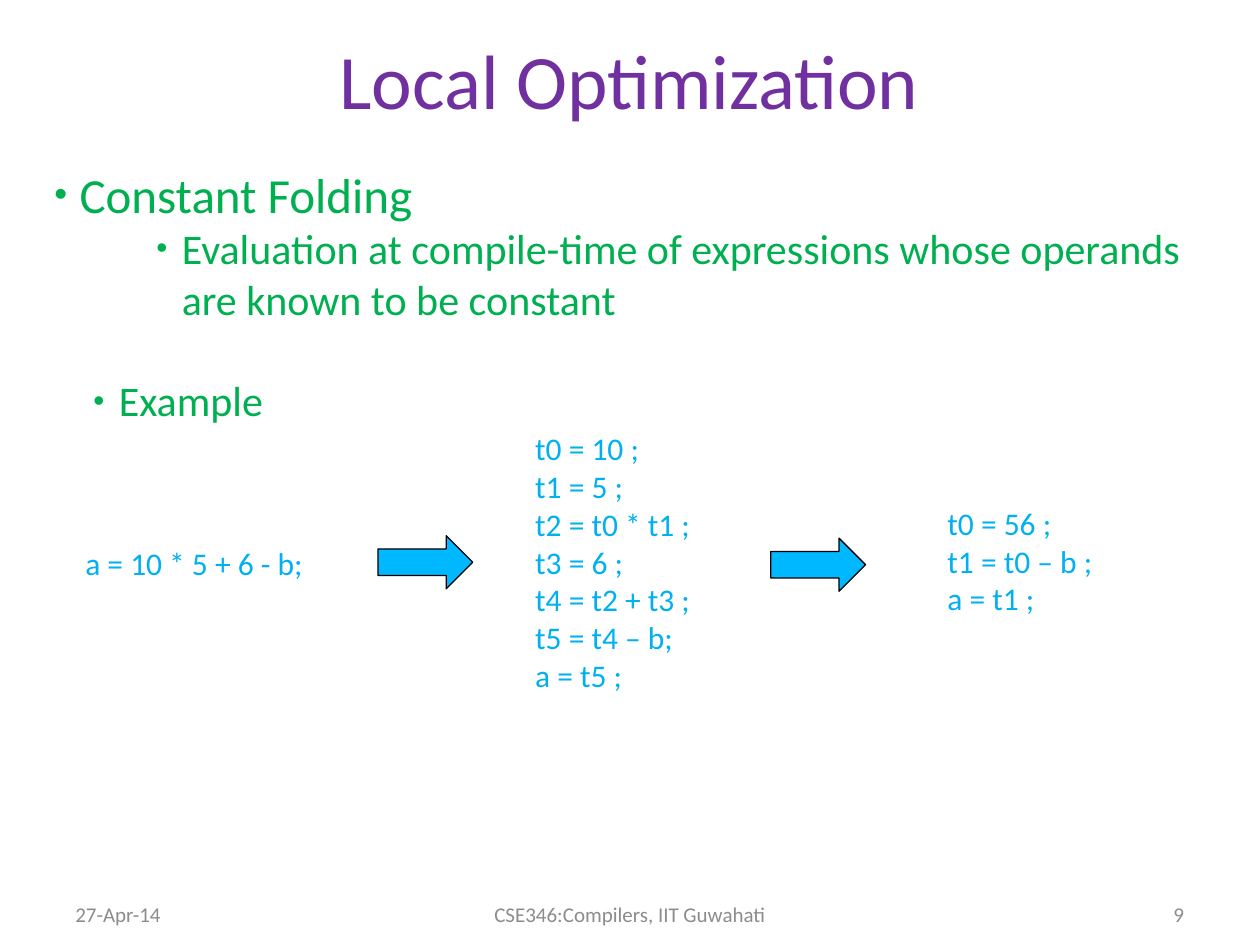
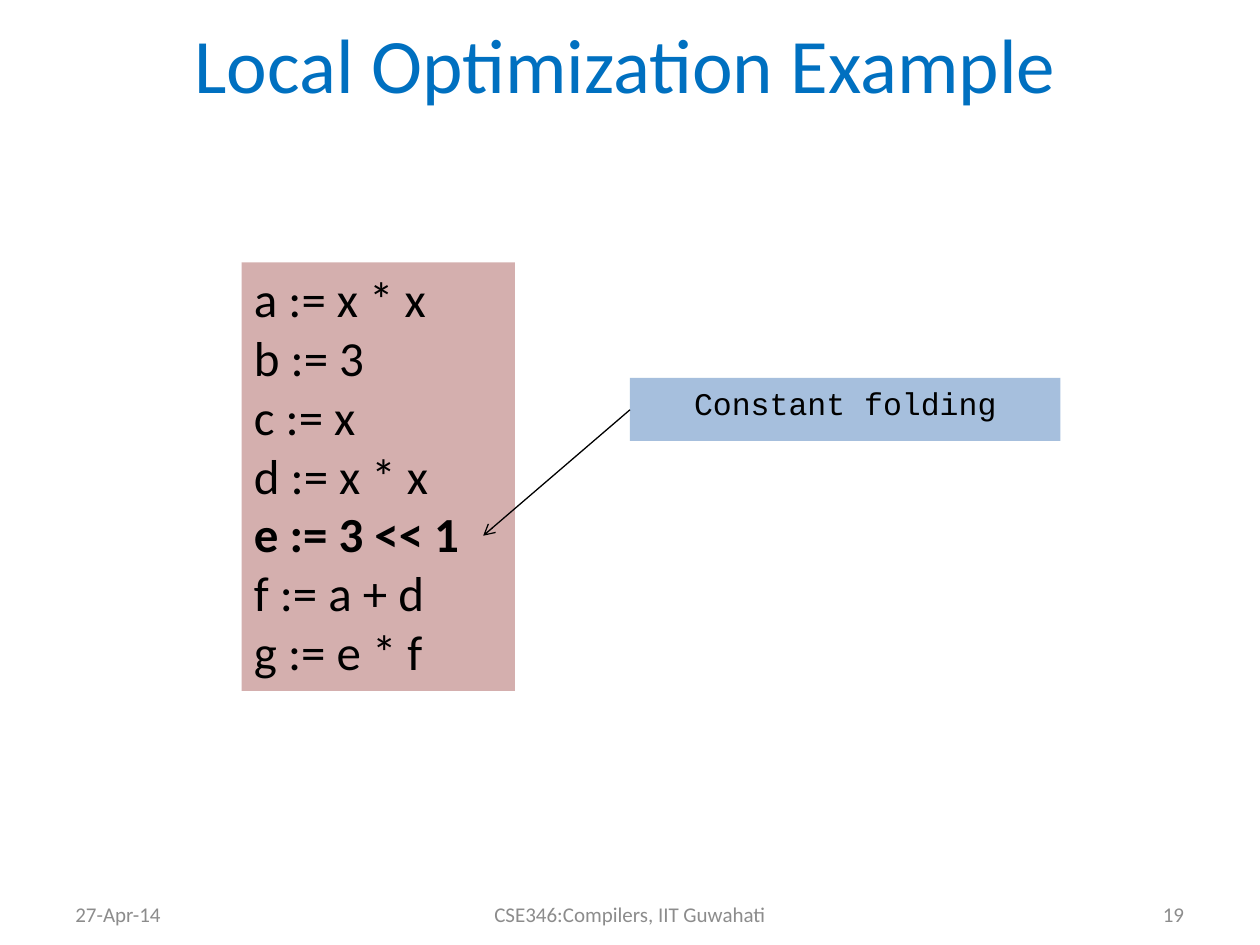
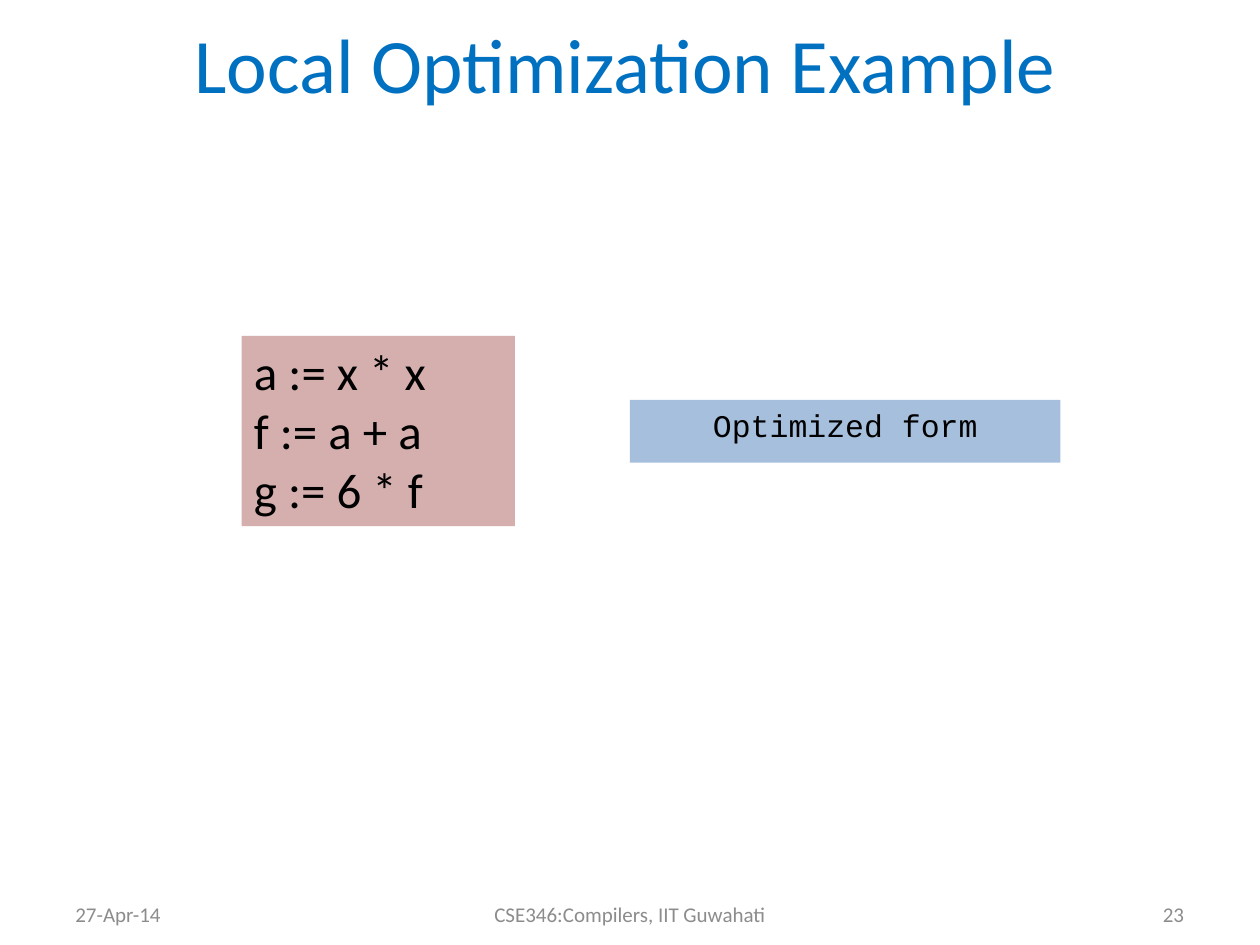
from lxml.etree import SubElement
from pptx import Presentation
from pptx.dml.color import RGBColor
from pptx.enum.shapes import MSO_CONNECTOR, MSO_SHAPE
from pptx.enum.text import MSO_ANCHOR, MSO_AUTO_SIZE, PP_ALIGN
from pptx.oxml.ns import qn
from pptx.util import Cm, Pt

BLACK = RGBColor(0x00, 0x00, 0x00)
GREY = RGBColor(0x8C, 0x8C, 0x8C)
PURPLE = RGBColor(0x70, 0x30, 0xA0)
BLUE = RGBColor(0x00, 0x70, 0xC0)
GREEN = RGBColor(0x00, 0xB0, 0x50)
CYAN = RGBColor(0x00, 0xB0, 0xF0)
ARROW_FILL = RGBColor(0x00, 0xB8, 0xFF)
CODE_FILL = RGBColor(0x95, 0x37, 0x35)
LABEL_FILL = RGBColor(0x4F, 0x81, 0xBD)

SANS = "Calibri"
MONO = "Courier New"
TITLE_ONLY, TITLE_AND_BODY = 5, 1
DATE = "27-Apr-14"
COURSE = "CSE346:Compilers, IIT Guwahati"


class Deck:
    def __init__(self):
        self.prs = Presentation()
        self.prs.slide_width = Cm(25.4)
        self.prs.slide_height = Cm(19.05)
        self.s = None

    def new_slide(self, layout, number):
        self.s = self.prs.slides.add_slide(self.prs.slide_layouts[layout])
        self.footer(DATE, 1.27, 5.9, PP_ALIGN.LEFT)
        self.footer(COURSE, 8.68, 8.04, PP_ALIGN.CENTER)
        self.footer(number, 18.22, 5.9, PP_ALIGN.RIGHT)

    def place(self, sp, left, top, width, height):
        sp.left, sp.top, sp.width, sp.height = Cm(left), Cm(top), Cm(width), Cm(height)

    def style_runs(self, p, size, color, font=SANS, bold=False, align=PP_ALIGN.LEFT):
        p.alignment = align
        for r in p.runs:
            r.font.size = Pt(size)
            r.font.name = font
            r.font.bold = bold
            r.font.color.rgb = color

    def set_text(self, sp, text, size, color, font=SANS, align=PP_ALIGN.LEFT,
                 anchor=MSO_ANCHOR.TOP):
        tf = sp.text_frame
        tf.word_wrap = True
        tf.auto_size = MSO_AUTO_SIZE.NONE
        tf.vertical_anchor = anchor
        tf.text = text
        for p in tf.paragraphs:
            self.style_runs(p, size, color, font, align=align)

    def title(self, text, color, left, width, height):
        sp = self.s.shapes.title
        self.place(sp, left, 0, width, height)
        self.set_text(sp, text, 44, color, align=PP_ALIGN.CENTER, anchor=MSO_ANCHOR.MIDDLE)

    def bullets(self, items, left, top, width, height):
        sp = self.s.placeholders[1]
        self.place(sp, left, top, width, height)
        self.set_text(sp, "\n".join(item[0] for item in items), 24, GREEN)
        for p, (_, size, level, margin, gap) in zip(sp.text_frame.paragraphs, items):
            self.style_runs(p, size, GREEN)
            p.level = level
            p.space_before = Pt(gap)
            self.bullet(p, margin)

    def bullet(self, p, margin):
        pPr = p._p.get_or_add_pPr()
        pPr.set("marL", str(Cm(margin)))
        pPr.set("indent", str(-Cm(0.51)))
        clr = SubElement(pPr, qn("a:buClr"))
        SubElement(clr, qn("a:srgbClr"), val=str(GREEN))
        SubElement(pPr, qn("a:buSzPct"), val="75000")
        SubElement(pPr, qn("a:buFont"), typeface="Arial")
        SubElement(pPr, qn("a:buChar"), char="•")

    def text(self, text, left, top, width, height, size=18, color=CYAN, **style):
        sp = self.s.shapes.add_textbox(Cm(left), Cm(top), Cm(width), Cm(height))
        self.set_text(sp, text, size, color, **style)

    def footer(self, text, left, width, align):
        self.text(text, left, 18.01, width, 0.84, 12, GREY, align=align,
                  anchor=MSO_ANCHOR.MIDDLE)

    def shape(self, kind, fill, left, top, width, height):
        sp = self.s.shapes.add_shape(kind, Cm(left), Cm(top), Cm(width), Cm(height))
        sp.shadow.inherit = False
        sp.fill.solid()
        sp.fill.fore_color.rgb = fill
        return sp

    def block_arrow(self, left, top):
        sp = self.shape(MSO_SHAPE.RIGHT_ARROW, ARROW_FILL, left, top, 1.91, 1.07)
        sp.line.color.rgb = BLACK
        sp.line.width = Pt(0.75)

    def tinted_box(self, fill, opacity, left, top, width, height):
        sp = self.shape(MSO_SHAPE.RECTANGLE, fill, left, top, width, height)
        sp.line.fill.background()
        clr = sp._element.spPr.find(qn("a:solidFill")).find(qn("a:srgbClr"))
        SubElement(clr, qn("a:alpha"), val=str(opacity * 1000))
        return sp

    def code(self, lines, top, height, bold_line=None):
        sp = self.tinted_box(CODE_FILL, 40, 4.87, top, 5.51, height)
        self.set_text(sp, "\n".join(lines), 28, BLACK)
        if bold_line is not None:
            self.style_runs(sp.text_frame.paragraphs[bold_line], 28, BLACK, bold=True)

    def label(self, text, top):
        sp = self.tinted_box(LABEL_FILL, 50, 12.7, top, 8.68, 1.27)
        self.set_text(sp, text, 18, BLACK, MONO, PP_ALIGN.CENTER)

    def pointer(self, x1, y1, x2, y2):
        cx = self.s.shapes.add_connector(MSO_CONNECTOR.STRAIGHT, Cm(x1), Cm(y1), Cm(x2), Cm(y2))
        cx.line.color.rgb = BLACK
        cx.line.width = Pt(0.75)
        spPr = cx._element.spPr
        SubElement(spPr.find(qn("a:ln")), qn("a:tailEnd"), type="arrow")
        SubElement(spPr, qn("a:effectLst"))


def constant_folding(deck):
    deck.new_slide(TITLE_AND_BODY, "9")
    deck.title("Local Optimization", PURPLE, 1.27, 22.83, 3.18)
    deck.bullets([
        ("Constant Folding", 28, 0, 0.51, 0),
        ("Evaluation at compile-time of expressions whose operands are known to be constant",
         24, 1, 2.57, 0),
        ("Example", 24, 0, 1.3, 29.3),
    ], 0.84, 3.18, 23.93, 14.4)
    deck.text("a = 10 * 5 + 6 - b;", 1.47, 10.85, 4.98, 1.02)
    deck.text("t0 = 10 ;\nt1 = 5 ;\nt2 = t0 * t1 ;\nt3 = 6 ;\nt4 = t2 + t3 ;\nt5 = t4 – b;\na = t5 ;",
              10.54, 8.53, 4.55, 5.64)
    deck.text("t0 = 56 ;\nt1 = t0 – b ;\na = t1 ;", 18.85, 10.03, 4.88, 2.57)
    deck.block_arrow(7.62, 10.8)
    deck.block_arrow(15.54, 10.85)


def example_slide(deck, number):
    deck.new_slide(TITLE_ONLY, number)
    deck.title("Local Optimization Example", BLUE, 0.64, 23.93, 2.54)


def folding_step(deck):
    example_slide(deck, "19")
    deck.label("Constant folding", 7.62)
    deck.code(["a := x * x", "b := 3", "c := x", "d := x * x", "e := 3 << 1",
               "f := a + d", "g := e * f"], 5.29, 8.64, bold_line=4)
    deck.pointer(12.7, 8.26, 9.74, 10.8)


def optimized_form(deck):
    example_slide(deck, "23")
    deck.code(["a := x * x", "f := a + a", "g := 6 * f"], 6.77, 3.84)
    deck.label("Optimized form", 8.06)


def main():
    deck = Deck()
    constant_folding(deck)
    folding_step(deck)
    optimized_form(deck)
    deck.prs.save("out.pptx")


if __name__ == "__main__":
    main()
